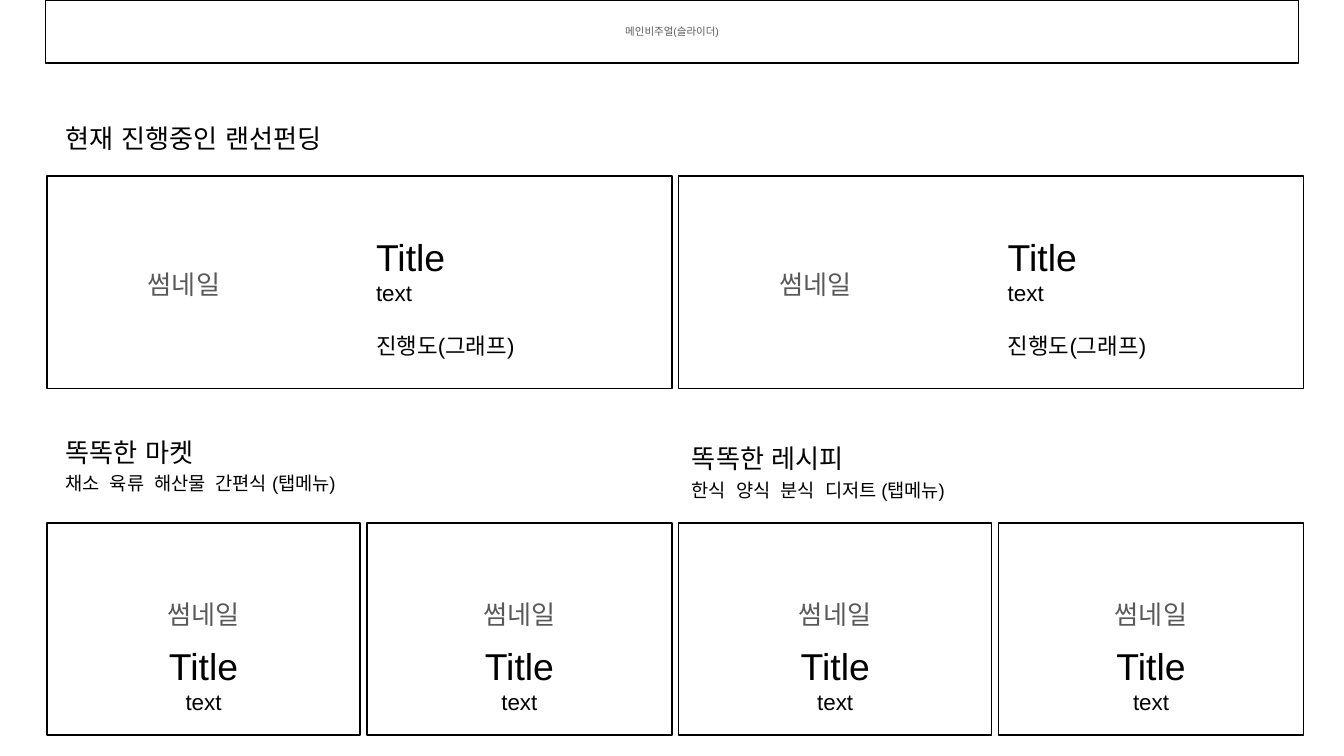
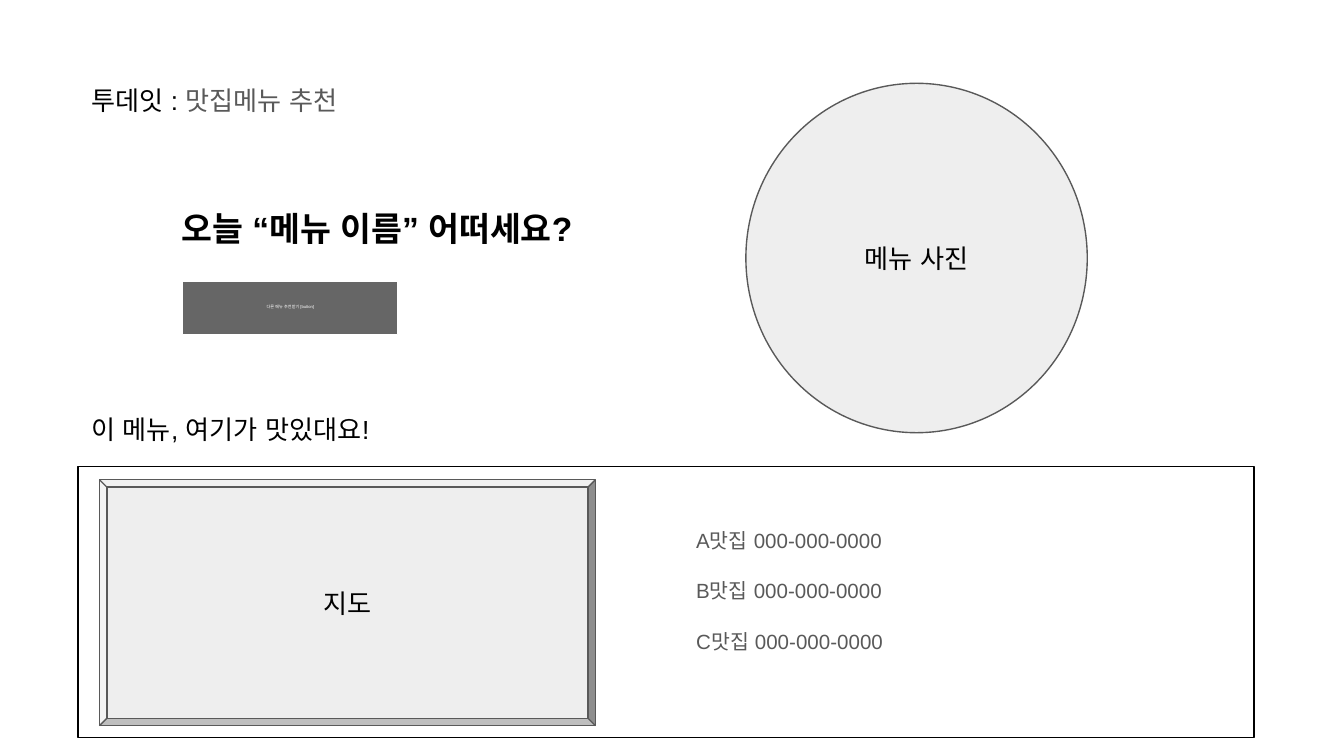
from dataclasses import dataclass

from lxml.etree import SubElement
from pptx import Presentation
from pptx.dml.color import RGBColor
from pptx.enum.shapes import MSO_SHAPE
from pptx.enum.text import MSO_ANCHOR, PP_ALIGN
from pptx.oxml.ns import qn
from pptx.util import Inches, Pt

BLACK = RGBColor(0x00, 0x00, 0x00)
WHITE = RGBColor(0xFF, 0xFF, 0xFF)
GREY = RGBColor(0x59, 0x59, 0x59)
BUTTON_GREY = RGBColor(0x66, 0x66, 0x66)
PALE_GREY = RGBColor(0xEE, 0xEE, 0xEE)

FONT = "Arial"
INSET = 0.1
GAP = 0.05
CENTERED = {"alignment": PP_ALIGN.CENTER}
HEADING = {"size": Pt(14), "color": BLACK}
THUMBNAIL = {"size": Pt(14), "color": GREY}
TITLE = {"size": Pt(20), "color": BLACK}
BODY = {"size": Pt(12), "color": BLACK}
TAB_MENU = {"size": Pt(10), "color": BLACK}
LISTING = {"size": Pt(11), "color": GREY}


@dataclass
class Box:
    """A rectangle on the page, in inches."""

    left: float
    top: float
    width: float
    height: float

    def inside(self, left, top, width, height):
        """Return a box placed relative to this one."""
        return Box(self.left + left, self.top + top, width, height)

    def lengths(self):
        """Return the four lengths that a new shape takes."""
        return [Inches(value) for value in (self.left, self.top, self.width, self.height)]


def line(text, style, **layout):
    """Describe a paragraph that has a single span."""
    return [(text, style)], layout


def style_span(span, style):
    """Apply the deck font and the format values to a span."""
    for name, value in style.items():
        if name == "color":
            span.font.color.rgb = value
        else:
            setattr(span.font, name, value)
    span.font.name = FONT
    properties = span.font._element
    for tag in ("a:ea", "a:cs"):
        SubElement(properties, qn(tag), typeface=FONT)


def write(shape, lines, anchor=MSO_ANCHOR.MIDDLE, **insets):
    """Fill a shape with paragraphs of styled spans."""
    frame = shape.text_frame
    frame.word_wrap = True
    frame.vertical_anchor = anchor
    for side in ("left", "top", "right", "bottom"):
        setattr(frame, f"margin_{side}", Inches(insets.get(side, INSET)))
    for index, (spans, layout) in enumerate(lines):
        para = frame.add_paragraph() if index else frame.paragraphs[0]
        for name, value in ({"alignment": PP_ALIGN.LEFT} | layout).items():
            setattr(para, name, value)
        for text, style in spans:
            span = para.add_run()
            span.text = text
            style_span(span, style)


def add_label(page, box, lines, anchor=MSO_ANCHOR.TOP):
    """Add a text box without fill or outline."""
    write(page.shapes.add_textbox(*box.lengths()), lines, anchor)


def add_panel(page, box, lines, kind=MSO_SHAPE.RECTANGLE, fill=None, outline=BLACK, **insets):
    """Add an outlined shape with text and return it."""
    shape = page.shapes.add_shape(kind, *box.lengths())
    shape.shadow.inherit = False
    if fill is None:
        shape.fill.background()
    else:
        shape.fill.solid()
        shape.fill.fore_color.rgb = fill
    shape.line.color.rgb = outline
    shape.line.width = Pt(0.75)
    write(shape, lines, **insets)
    return shape


def add_funding_card(page, box):
    """Add a wide card with a thumbnail and a progress text."""
    add_panel(page, box, [line("썸네일", THUMBNAIL, line_spacing=1.15)], left=0.75)
    add_label(page, box.inside(2.35, 0.27, 2.13, 1.19), [
        line("Title", TITLE),
        line("text", BODY),
        line("진행도(그래프)", BODY, space_before=Pt(14)),
    ], MSO_ANCHOR.BOTTOM)


def add_product_card(page, box):
    """Add a small card with a thumbnail above a title."""
    add_panel(page, box, [line("썸네일", THUMBNAIL, line_spacing=1.15, **CENTERED)], bottom=0.36)
    label_width = 2.13
    add_label(page, box.inside((box.width - label_width) / 2, 0.79, label_width, 0.74), [
        line("Title", TITLE, **CENTERED),
        line("text", BODY, **CENTERED),
    ], MSO_ANCHOR.BOTTOM)


def add_section(page, box, heading, tabs, tabs_top):
    """Add a heading with its tab menu."""
    add_label(page, box, [line(heading, HEADING)])
    add_label(page, box.inside(0, tabs_top, 4.87, 0.37), [line(tabs, TAB_MENU)])


def build_home(page):
    """Build the home page wireframe."""
    visual = {"size": Pt(5.6), "color": GREY}
    add_panel(page, Box(0.34, 0, 9.32, 0.47),
              [line("메인비주얼(슬라이더)", visual, line_spacing=0.95, **CENTERED)])
    add_label(page, Box(0.39, 0.81, 2.56, 0.44), [line("현재 진행중인 랜선펀딩", HEADING)])
    add_section(page, Box(0.39, 3.15, 1.46, 0.44), "똑똑한 마켓",
                "채소  육류  해산물  간편식 (탭메뉴)", 0.28)
    add_section(page, Box(5.05, 3.19, 1.46, 0.44), "똑똑한 레시피",
                "한식  양식  분식  디저트 (탭메뉴)", 0.29)
    half_width = 4.65
    for column in range(2):
        half = Box(0.35 + column * (half_width + GAP), 1.31, half_width, 1.58)
        add_funding_card(page, half)
        left = 0
        for width in (2.33, 2.27):
            add_product_card(page, half.inside(left, 2.58, width, half.height))
            left += width + GAP


def add_places(page, box):
    """Add the panel with the map and the restaurant list."""
    add_panel(page, box, [
        line(f"{name}맛집 000-000-0000", LISTING, line_spacing=1.15,
             space_before=Pt(12 if index else 0))
        for index, name in enumerate("ABC")
    ], fill=WHITE, left=4.6, bottom=0.3)
    area = add_panel(page, box.inside(0.16, 0.1, 3.69, 1.83), [line("지도", HEADING, **CENTERED)],
                     MSO_SHAPE.BEVEL, PALE_GREY, GREY)
    area.adjustments[0] = 0.03


def add_suggestion(page, box):
    """Add the menu question and its button."""
    question = HEADING | {"size": Pt(18), "bold": True}
    caption = {"size": Pt(2.2), "color": WHITE}
    add_label(page, box, [line("오늘 “메뉴 이름” 어떠세요?", question)], MSO_ANCHOR.MIDDLE)
    add_panel(page, box.inside(0.11, 0.77, 1.6, 0.4),
              [line("다른 메뉴 추천받기 [button]", caption, line_spacing=0.75, **CENTERED)],
              fill=BUTTON_GREY, outline=WHITE)


def build_recommendation(page):
    """Build the menu recommendation wireframe."""
    add_places(page, Box(0.58, 3.47, 8.75, 2.02))
    add_label(page, Box(0.58, 0.53, 2.94, 0.47),
              [([("투데잇 : ", HEADING), ("맛집메뉴 추천", THUMBNAIL)], {})])
    add_panel(page, Box(5.55, 0.62, 2.54, 2.6), [line("메뉴 사진", HEADING, **CENTERED)],
              MSO_SHAPE.OVAL, PALE_GREY, GREY)
    add_panel(page, Box(0.58, 2.97, 2.42, 0.44), [line("이 메뉴, 여기가 맛있대요!", HEADING)],
              fill=WHITE, outline=WHITE)
    add_suggestion(page, Box(1.25, 1.32, 3.69, 0.76))


def main():
    """Build the deck and save it."""
    deck = Presentation()
    deck.slide_width = Inches(10)
    deck.slide_height = Inches(10 * 9 / 16)
    for build in (build_home, build_recommendation):
        build(deck.slides.add_slide(deck.slide_layouts[6]))
    deck.save("out.pptx")


if __name__ == "__main__":
    main()
